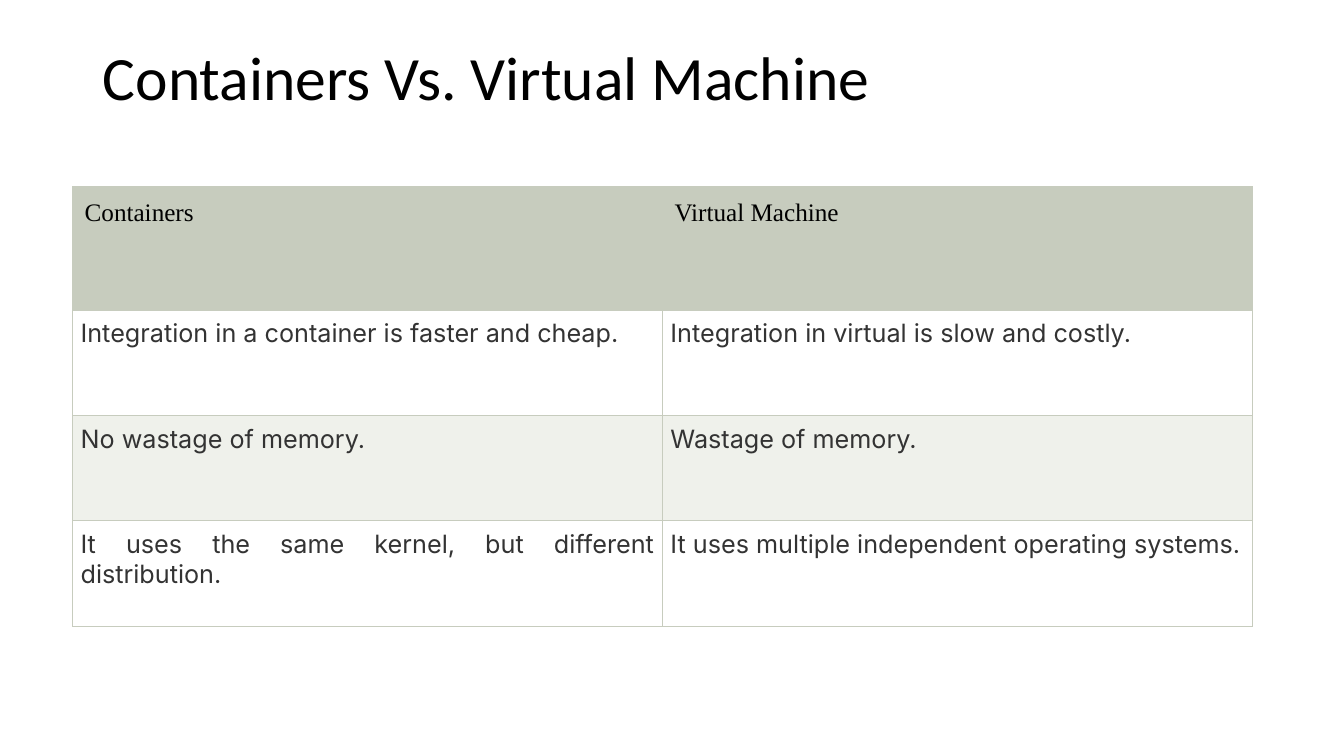
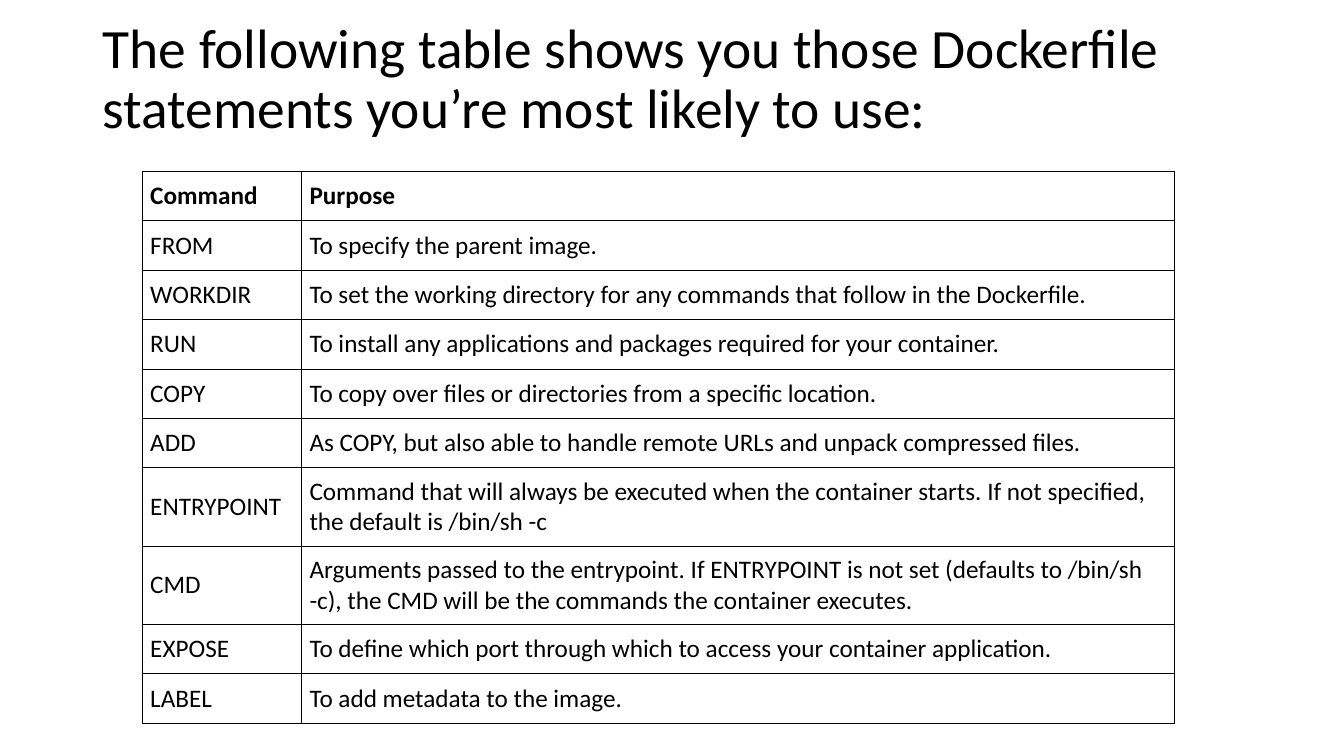
"""Build two slides that compare containers and list Dockerfile statements."""
import dataclasses
import typing

import lxml.etree
import pptx
import pptx.dml.color
import pptx.enum.text
import pptx.oxml.ns
import pptx.util

ALIGN = pptx.enum.text.PP_ALIGN
ANCHOR = pptx.enum.text.MSO_ANCHOR
WIDTH = pptx.util.Inches(13.33)
HEIGHT = pptx.util.Inches(7.5)
BLACK = "000000"
SAGE = "C7CCBE"
PALE_SAGE = "EFF1EB"
WHITE = "FFFFFF"
CHARCOAL = "333333"
TABLE_SIZE = 18
BORDER_WIDTH = 0.75


@dataclasses.dataclass(frozen=True)
class CellStyle:
    """Describe how a table cell looks."""
    font: str = "Calibri"
    ink: str = BLACK
    bold: bool = False
    fill: typing.Optional[str] = None
    inset: float = 0.08
    align: ALIGN = ALIGN.LEFT
    anchor: ANCHOR = ANCHOR.MIDDLE


@dataclasses.dataclass(frozen=True)
class TableRow:
    """Hold the texts, height share and style of a row."""
    texts: tuple[str, ...]
    height: float
    style: CellStyle


@dataclasses.dataclass(frozen=True)
class TablePage:
    """Describe a page with a title and a table, in percent of the slide."""
    title: str
    title_size: float
    left: float
    top: float
    columns: tuple[float, ...]
    border: str
    rows: tuple[TableRow, ...]


def across(percent: float) -> int:
    """Return a share of the slide width."""
    return round(WIDTH * percent / 100)


def down(percent: float) -> int:
    """Return a share of the slide height."""
    return round(HEIGHT * percent / 100)


def color(value: str) -> pptx.dml.color.RGBColor:
    """Return the colour for a hex string."""
    return pptx.dml.color.RGBColor.from_string(value)


def add_span(para, text: str, font: str, size: float, ink: str, bold: bool = False) -> None:
    """Add one formatted run to a paragraph."""
    span = para.add_run()
    span.text = text
    span.font.name = font
    span.font.size = pptx.util.Pt(size)
    span.font.bold = bold
    span.font.color.rgb = color(ink)


def set_title(page, text: str, size: float) -> None:
    """Place and fill the title placeholder."""
    box = page.shapes.title
    box.left, box.top = across(6.9), down(1)
    box.width, box.height = across(86.25), down(19.33)
    frame = box.text_frame
    frame.word_wrap = True
    frame.auto_size = pptx.enum.text.MSO_AUTO_SIZE.NONE
    frame.vertical_anchor = ANCHOR.MIDDLE
    para = frame.paragraphs[0]
    para.alignment = ALIGN.LEFT
    para.line_spacing = 0.9
    add_span(para, text, "Calibri", size, BLACK)


def set_borders(cell, ink: str) -> None:
    """Draw the four borders of a cell."""
    qualify = pptx.oxml.ns.qn
    properties = cell._tc.get_or_add_tcPr()
    for index, side in enumerate(("lnL", "lnR", "lnT", "lnB")):
        line = lxml.etree.Element(qualify(f"a:{side}"), w=str(pptx.util.Pt(BORDER_WIDTH)))
        solid = lxml.etree.SubElement(line, qualify("a:solidFill"))
        lxml.etree.SubElement(solid, qualify("a:srgbClr"), val=ink)
        properties.insert(index, line)


def fill_cell(cell, text: str, style: CellStyle, border: str) -> None:
    """Write and format one table cell."""
    inset = pptx.util.Inches(style.inset)
    cell.margin_left = cell.margin_right = inset
    cell.margin_top = cell.margin_bottom = inset
    cell.vertical_anchor = style.anchor
    if style.fill:
        cell.fill.solid()
        cell.fill.fore_color.rgb = color(style.fill)
    else:
        cell.fill.background()
    set_borders(cell, border)
    para = cell.text_frame.paragraphs[0]
    para.alignment = style.align
    add_span(para, text, style.font, TABLE_SIZE, style.ink, style.bold)


def add_table_page(deck, plan: TablePage) -> None:
    """Add a page with its title and table."""
    page = deck.slides.add_slide(deck.slide_layouts[5])
    set_title(page, plan.title, plan.title_size)
    table = page.shapes.add_table(
        len(plan.rows), len(plan.columns), across(plan.left), down(plan.top),
        across(sum(plan.columns)), down(sum(row.height for row in plan.rows)),
    ).table
    table.first_row = table.horz_banding = False
    for column, width in zip(table.columns, plan.columns):
        column.width = across(width)
    for row, content in zip(table.rows, plan.rows):
        row.height = down(content.height)
        for cell, text in zip(row.cells, content.texts):
            fill_cell(cell, text, content.style, plan.border)


SAGE_HEADER = CellStyle("Times New Roman", fill=SAGE, inset=0.12, anchor=ANCHOR.TOP)
WHITE_BODY = CellStyle("Inter", CHARCOAL, fill=WHITE, align=ALIGN.JUSTIFY, anchor=ANCHOR.TOP)
PALE_BODY = dataclasses.replace(WHITE_BODY, fill=PALE_SAGE)
PLAIN = CellStyle()
PLAIN_HEADER = CellStyle(bold=True)
COMPARISON_HEIGHT = 13.92
ONE_LINE = 6.54
TWO_LINES = 10.35

COMPARISONS = (
    ("Integration in a container is faster and cheap.",
     "Integration in virtual is slow and costly."),
    ("No wastage of memory.", "Wastage of memory."),
    ("It uses the same kernel, but different distribution.",
     "It uses multiple independent operating systems."),
)
STATEMENTS = (
    ("FROM", "To specify the parent image."),
    ("WORKDIR", "To set the working directory for any commands that follow in the Dockerfile."),
    ("RUN", "To install any applications and packages required for your container."),
    ("COPY", "To copy over files or directories from a specific location."),
    ("ADD", "As COPY, but also able to handle remote URLs and unpack compressed files."),
    ("ENTRYPOINT", "Command that will always be executed when the container starts. "
     "If not specified, the default is /bin/sh -c"),
    ("CMD", "Arguments passed to the entrypoint. If ENTRYPOINT is not set "
     "(defaults to /bin/sh -c), the CMD will be the commands the container executes."),
    ("EXPOSE", "To define which port through which to access your container application."),
    ("LABEL", "To add metadata to the image."),
)
TWO_LINE_COMMANDS = ("ENTRYPOINT", "CMD")

PAGES = (
    TablePage(
        "Containers Vs. Virtual Machine", 44, 5.4, 24.67, (43.89, 43.89), SAGE,
        (TableRow(("Containers", "Virtual Machine"), 16.4, SAGE_HEADER),
         *(TableRow(texts, COMPARISON_HEIGHT, PALE_BODY if index % 2 else WHITE_BODY)
           for index, texts in enumerate(COMPARISONS))),
    ),
    TablePage(
        "The following table shows you those Dockerfile statements you’re most likely to use:",
        39.6, 10.58, 22.67, (11.85, 64.97), BLACK,
        (TableRow(("Command", "Purpose"), ONE_LINE, PLAIN_HEADER),
         *(TableRow(texts, TWO_LINES if texts[0] in TWO_LINE_COMMANDS else ONE_LINE, PLAIN)
           for texts in STATEMENTS)),
    ),
)


def main() -> None:
    """Build and save the deck."""
    deck = pptx.Presentation()
    deck.slide_width, deck.slide_height = WIDTH, HEIGHT
    for plan in PAGES:
        add_table_page(deck, plan)
    deck.save("out.pptx")


if __name__ == "__main__":
    main()
